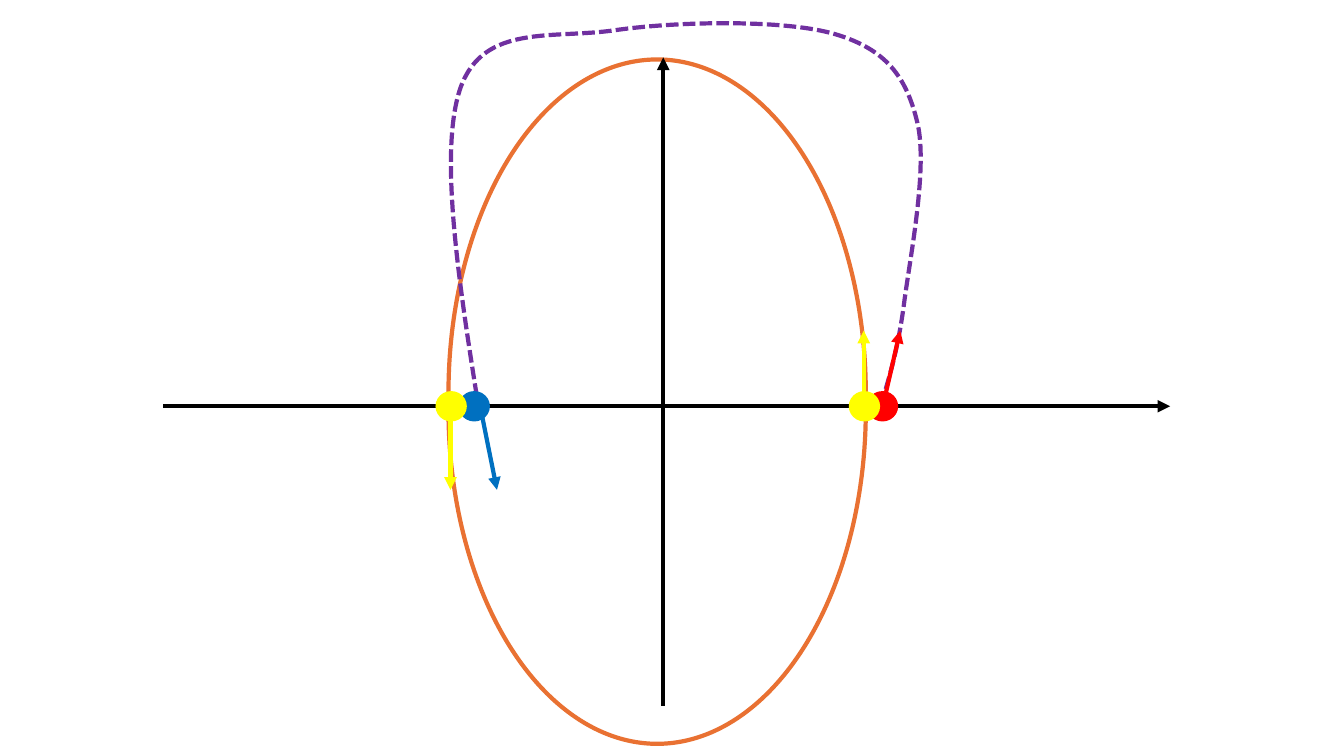
import pptx
import pptx.util
import pptx.dml.color
import pptx.enum.dml
import pptx.enum.shapes
import pptx.oxml.ns
import lxml.etree

Pt = pptx.util.Pt
RGBColor = pptx.dml.color.RGBColor
SHAPES = pptx.enum.shapes.MSO_SHAPE
qn = pptx.oxml.ns.qn

ORANGE = RGBColor(0xE9, 0x71, 0x32)
PURPLE = RGBColor(0x70, 0x30, 0xA0)
BLACK = RGBColor(0, 0, 0)
RED = RGBColor(0xFF, 0, 0)
BLUE = RGBColor(0, 0x70, 0xC0)
YELLOW = RGBColor(0xFF, 0xFF, 0)

LINE_WIDTH = 3
ORBIT_LEFT, ORBIT_WIDTH, ORBIT_HEIGHT = 320.4, 298.1, 476.6
ORBIT_HALVES = [(54.7, True), (42.5, False)]
ORBIT_START = 107.038

TRANSFER_BOX = (321.8, 16.6, 335.5, 279.4)
TRANSFER_START = (629.3, 289.4)
TRANSFER_CURVES = [
    [(635, 270), (641.5, 249.8), (645.8, 216.7)],
    [(650.2, 182.9), (663.1, 118.8), (655.2, 87.1)],
    [(647.3, 54.7), (632.9, 35.3), (596.9, 24.5)],
    [(560.9, 13.7), (483.8, 15.1), (439.2, 21.6)],
    [(394.6, 28.1), (345.6, 16.6), (329, 62.6)],
    [(313.2, 108), (327.6, 201.6), (342.7, 295.9)],
]

AXES = [((116.6, 290.2), (835.9, 290.2)), ((473.8, 504), (473.8, 41))]
BODY_TOP, BODY_WIDTH, BODY_HEIGHT = 280.1, 20.9, 20.2
BODIES = [
    (RED, 619.9, (632.9, 280.1), (643, 236.2)),
    (BLUE, 328.3, (343.4, 292.3), (355, 349.9)),
    (YELLOW, 607, (617, 280.1), (617, 236.2)),
    (YELLOW, 311.8, (321.8, 295.9), (321.8, 349.9)),
]


def style_line(line, color, width=LINE_WIDTH):
    line.color.rgb = color
    line.width = Pt(width)


def add_orbit_half(shapes, top, flipped):
    arc = shapes.add_shape(SHAPES.ARC, Pt(ORBIT_LEFT), Pt(top), Pt(ORBIT_WIDTH), Pt(ORBIT_HEIGHT))
    arc.adjustments[0] = ORBIT_START
    arc.adjustments[1] = 0
    arc.shadow.inherit = False
    arc.fill.background()
    style_line(arc.line, ORANGE)
    if flipped:
        arc._element.spPr.find(qn("a:xfrm")).set("flipV", "1")


def add_transfer_path(shapes):
    left, top, width, height = TRANSFER_BOX
    builder = shapes.build_freeform(*TRANSFER_START, scale=Pt(1))
    builder.add_line_segments([curve[-1] for curve in TRANSFER_CURVES], close=False)
    shape = builder.convert_to_shape()
    shape.left, shape.top, shape.width, shape.height = map(Pt, TRANSFER_BOX)
    outline = next(shape._element.iter(qn("a:path")))
    for child in list(outline):
        outline.remove(child)
    outline.set("w", str(Pt(width)))
    outline.set("h", str(Pt(height)))
    steps = [("a:moveTo", [TRANSFER_START])]
    steps += [("a:cubicBezTo", curve) for curve in TRANSFER_CURVES]
    for tag, points in steps:
        step = lxml.etree.SubElement(outline, qn(tag))
        for x, y in points:
            lxml.etree.SubElement(step, qn("a:pt"), x=str(Pt(x - left)), y=str(Pt(y - top)))
    shape.shadow.inherit = False
    shape.fill.background()
    style_line(shape.line, PURPLE)
    shape.line.dash_style = pptx.enum.dml.MSO_LINE.SQUARE_DOT


def add_arrow(shapes, start, end, color):
    straight = pptx.enum.shapes.MSO_CONNECTOR.STRAIGHT
    arrow = shapes.add_connector(straight, *map(Pt, start + end))
    style_line(arrow.line, color)
    lxml.etree.SubElement(arrow.line._get_or_add_ln(), qn("a:tailEnd"), type="triangle")
    lxml.etree.SubElement(arrow._element.spPr, qn("a:effectLst"))


def add_body(shapes, left, color):
    body = shapes.add_shape(SHAPES.OVAL, Pt(left), Pt(BODY_TOP), Pt(BODY_WIDTH), Pt(BODY_HEIGHT))
    body.shadow.inherit = False
    body.fill.solid()
    body.fill.fore_color.rgb = color
    style_line(body.line, color, 1.5)


def main():
    presentation = pptx.Presentation()
    presentation.slide_width, presentation.slide_height = Pt(960), Pt(540)
    slide = presentation.slides.add_slide(presentation.slide_layouts[6])
    shapes = slide.shapes
    for top, flipped in ORBIT_HALVES:
        add_orbit_half(shapes, top, flipped)
    add_transfer_path(shapes)
    for start, end in AXES:
        add_arrow(shapes, start, end, BLACK)
    for color, left, start, end in BODIES:
        add_body(shapes, left, color)
        add_arrow(shapes, start, end, color)
    presentation.save("out.pptx")


if __name__ == "__main__":
    main()
